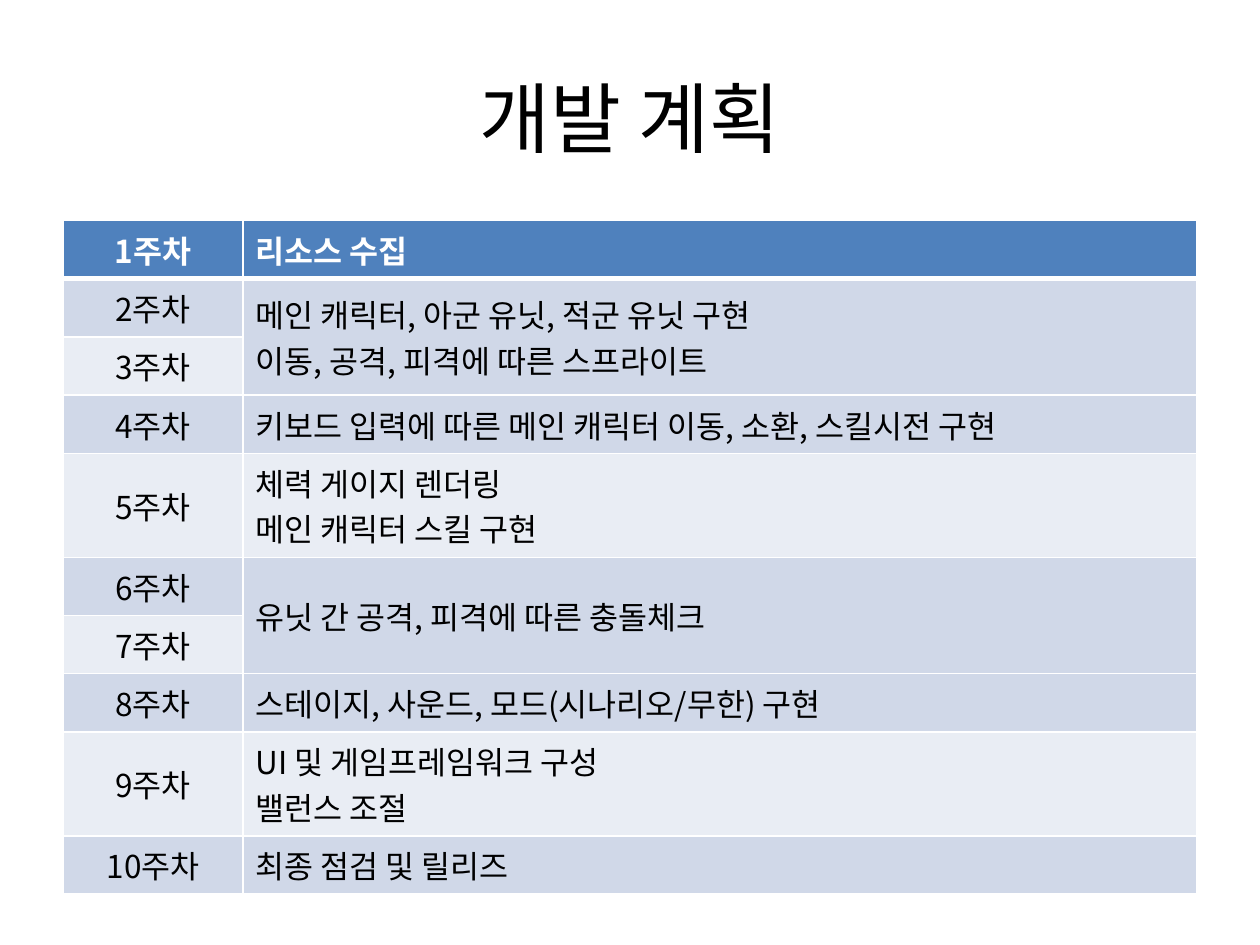
"""Build the ten-week development plan slide."""
import lxml.etree
import pptx
import pptx.dml.color
import pptx.enum.text
import pptx.oxml.ns
import pptx.util

Inches = pptx.util.Inches
ALIGN = pptx.enum.text.PP_ALIGN
MIDDLE = pptx.enum.text.MSO_ANCHOR.MIDDLE
qn = pptx.oxml.ns.qn

FONT = "Noto Sans CJK KR"
HEADER_FILL = "4F81BD"
BAND_FILLS = ("E9EDF4", "D0D8E8")
TASKS = [
    (1, ["리소스 수집"]),
    (2, ["메인 캐릭터, 아군 유닛, 적군 유닛 구현", "이동, 공격, 피격에 따른 스프라이트"]),
    (1, ["키보드 입력에 따른 메인 캐릭터 이동, 소환, 스킬시전 구현"]),
    (1, ["체력 게이지 렌더링", "메인 캐릭터 스킬 구현"]),
    (2, ["유닛 간 공격, 피격에 따른 충돌체크"]),
    (1, ["스테이지, 사운드, 모드(시나리오/무한) 구현"]),
    (1, ["UI 및 게임프레임워크 구성", "밸런스 조절"]),
    (1, ["최종 점검 및 릴리즈"]),
]


def rgb(value):
    """Return the colour for a hex string."""
    return pptx.dml.color.RGBColor.from_string(value)


def write(frame, lines, size=18, color="000000", bold=False, align=ALIGN.LEFT):
    """Write one formatted paragraph for each line."""
    for index, line in enumerate(lines):
        paragraph = frame.paragraphs[0] if index == 0 else frame.add_paragraph()
        paragraph.alignment = align
        run = paragraph.add_run()
        run.text = line
        run.font.size = pptx.util.Pt(size)
        run.font.bold = bold
        run.font.color.rgb = rgb(color)
        run.font.name = FONT
        east_asian = lxml.etree.SubElement(run.font._element, qn("a:ea"))
        east_asian.set("typeface", FONT)


def set_borders(cell, widths, color="FFFFFF"):
    """Draw the left, right, top and bottom borders in points."""
    properties = cell._tc.get_or_add_tcPr()
    for index, (side, width) in enumerate(zip("LRTB", widths)):
        border = properties.makeelement(qn(f"a:ln{side}"), {"w": str(pptx.util.Pt(width))})
        fill = lxml.etree.SubElement(border, qn("a:solidFill"))
        lxml.etree.SubElement(fill, qn("a:srgbClr")).set("val", color)
        properties.insert(index, border)


def style_cell(cell, row):
    """Give a cell the fill and borders of its row."""
    cell.vertical_anchor = MIDDLE
    cell.fill.solid()
    cell.fill.fore_color.rgb = rgb(BAND_FILLS[row % 2] if row else HEADER_FILL)
    set_borders(cell, (1, 1, 3 if row == 1 else 1, 3 if row == 0 else 1))


def add_title(slide, text):
    """Place the slide title."""
    title = slide.shapes.title
    title.left, title.top = Inches(0.5), Inches(0.3)
    title.width, title.height = Inches(9), Inches(1.25)
    title.text_frame.vertical_anchor = MIDDLE
    write(title.text_frame, [text], size=44, align=ALIGN.CENTER)


def add_schedule(slide, tasks):
    """Add the table of weeks and their tasks."""
    weeks = sum(span for span, _ in tasks)
    row_height = Inches(0.41)
    schedule = slide.shapes.add_table(
        weeks, 2, Inches(0.5), Inches(1.75), Inches(9), row_height * weeks
    ).table
    for column, width in zip(schedule.columns, (1.43, 7.57)):
        column.width = Inches(width)
    for row in range(weeks):
        schedule.rows[row].height = row_height
        for column in range(2):
            style_cell(schedule.cell(row, column), row)

    first = 0
    for span, lines in tasks:
        heading = {"color": "FFFFFF", "bold": True} if first == 0 else {}
        for row in range(first, first + span):
            week = schedule.cell(row, 0)
            write(week.text_frame, [f"{row + 1}주차"], align=ALIGN.CENTER, **heading)
        task = schedule.cell(first, 1)
        if span > 1:
            task.merge(schedule.cell(first + span - 1, 1))
        write(task.text_frame, lines, **heading)
        first += span


def main():
    """Create and save the presentation."""
    presentation = pptx.Presentation()
    presentation.slide_width, presentation.slide_height = Inches(10), Inches(7.5)
    slide = presentation.slides.add_slide(presentation.slide_layouts[5])
    add_title(slide, "개발 계획")
    add_schedule(slide, TASKS)
    presentation.save("out.pptx")


if __name__ == "__main__":
    main()
